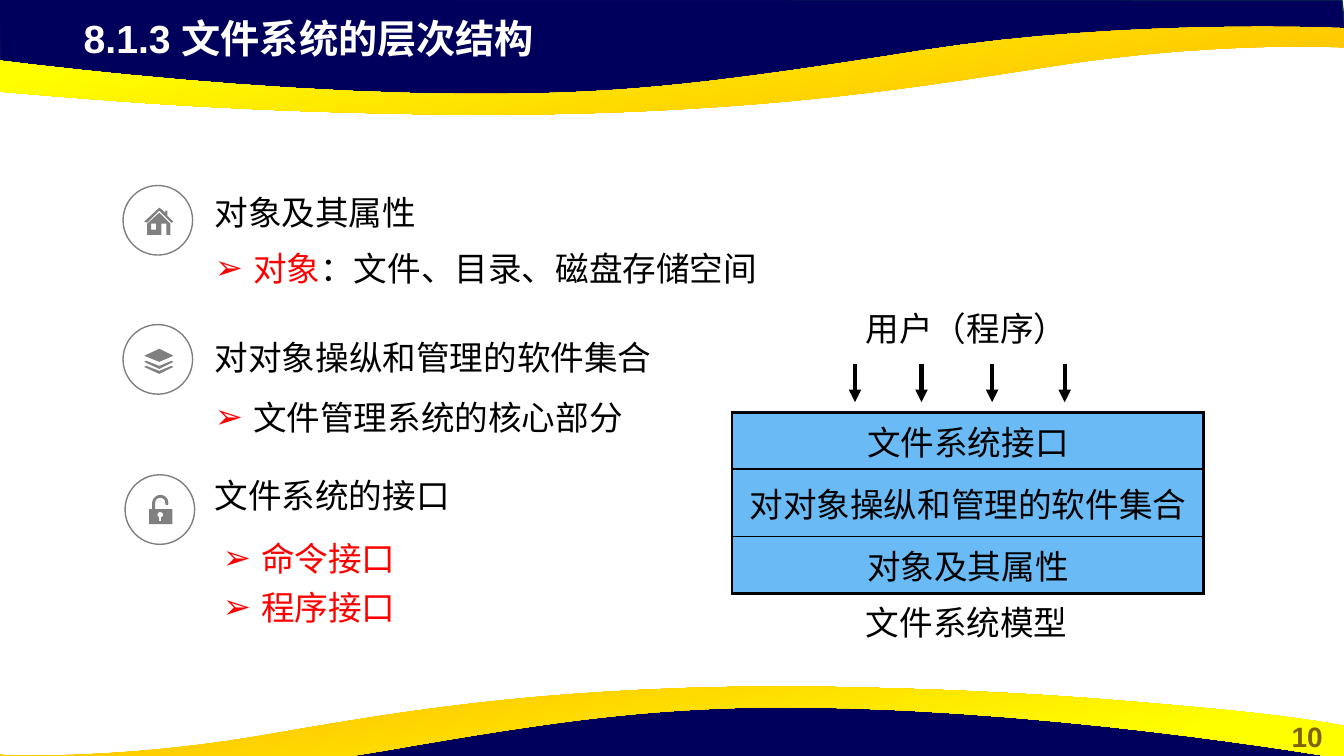
from lxml import etree
from pptx import Presentation
from pptx.dml.color import RGBColor
from pptx.enum.shapes import MSO_CONNECTOR, MSO_SHAPE
from pptx.enum.text import MSO_ANCHOR, MSO_AUTO_SIZE, PP_ALIGN
from pptx.oxml.ns import qn
from pptx.util import Inches, Pt

NAVY = RGBColor(0x00, 0x00, 0x5C)
NAVY_EDGE = RGBColor(0x05, 0x30, 0x4F)
ORANGE = RGBColor(0xFF, 0xC0, 0x00)
YELLOW = RGBColor(0xFF, 0xFF, 0x00)
OLIVE = RGBColor(0x80, 0x60, 0x00)
WHITE = RGBColor(0xFF, 0xFF, 0xFF)
BLACK = RGBColor(0x00, 0x00, 0x00)
RED = RGBColor(0xFF, 0x00, 0x00)
GRAY = RGBColor(0x80, 0x80, 0x80)
SKY = RGBColor(0x6A, 0xBB, 0xF5)
LATIN = "Arial"
CHINESE = "Noto Sans CJK SC"

NAVY_WAVE = [(-0.01, -0.01), (0, 0.7), (2.93, 1.02), (5.59, 1), (7.95, 0.88),
             (10.16, 0.5), (12.38, 0.33), (13.35, 0.38), (13.31, 0)]
TOP_RIBBON = [(4.83, 1.14), (4.43, 1.14, 4.01, 1.13, 3.56, 1.12),
              (2.06, 1.08, 1.1, 1, 0.36, 0.94), (-0.88, 0.84, -1.3, 0.75, -1.33, 0.75),
              (-1.33, 0.42), (-1.33, 0.42, 2.18, 0.98, 5.17, 0.93),
              (6.26, 0.91, 7.08, 0.83, 9.15, 0.5), (11.21, 0.18, 13.33, 0.28, 13.33, 0.28),
              (13.33, 0.47), (13.3, 0.47), (13.05, 0.46, 11.95, 0.43, 10.55, 0.64),
              (9.18, 0.85, 7.62, 1.13, 4.83, 1.14)]
BOTTOM_RIBBON = [(7.72, 6.81), (8.09, 6.81, 8.47, 6.82, 8.88, 6.83),
                 (10.25, 6.87, 11.12, 6.95, 11.79, 7.01), (12.92, 7.11, 13.3, 7.2, 13.33, 7.2),
                 (13.33, 7.53), (13.33, 7.53, 10.14, 6.97, 7.42, 7.02),
                 (6.42, 7.05, 5.67, 7.12, 3.8, 7.45), (1.92, 7.78, -0.01, 7.68, -0.01, 7.68),
                 (-0.01, 7.48), (0.02, 7.49), (0.25, 7.5, 1.25, 7.52, 2.52, 7.31),
                 (3.76, 7.1, 5.19, 6.82, 7.72, 6.81)]

HOUSE = [[(21, 36), (36, 22), (42, 27), (42, 25), (44, 25), (44, 30), (50, 36), (48, 37),
          (36, 25), (24, 37)],
         [(24, 38), (36, 27), (47, 38), (47, 49), (43, 49), (43, 38), (38, 38), (38, 49), (24, 49)],
         [(28, 38), (33, 38), (33, 44), (28, 44)]]
LAYERS = [[(21, 31), (36, 24), (50, 31), (36, 37)],
          [(21, 37), (23, 36), (36, 41), (48, 36), (50, 37), (36, 44)],
          [(21, 42), (23, 41), (36, 46), (48, 41), (50, 42), (36, 49)]]
PADLOCK = [[(24, 34), (47, 34), (47, 49), (24, 49)],
           [(27, 34), (27, 28), (27, 24, 31, 20, 35, 20), (40, 20, 43, 24, 43, 28),
            (43, 31, 40, 31, 40, 28), (40, 25, 38, 23, 35, 23), (32, 23, 30, 25, 30, 28), (30, 34)],
           [(35, 37), (32, 37, 31, 41, 34, 42), (34, 46), (36, 46), (36, 42),
            (39, 41, 38, 37, 35, 37)]]

SECTIONS = [
    ("对象及其属性", (2.03, 1.88, 4.04, 0.44), HOUSE, (1.22, 1.84),
     [[("对象", RED), ("：文件、目录、磁盘存储空间", BLACK)]], (2.03, 2.33, 7.1, 0.57)),
    ("对对象操纵和管理的软件集合", (2.03, 3.33, 5.45, 0.43), LAYERS, (1.22, 3.22),
     [[("文件管理系统的核心部分", BLACK)]], (2.03, 3.81, 4.39, 0.57)),
    ("文件系统的接口", (2.03, 4.69, 4.04, 0.45), PADLOCK, (1.24, 4.71),
     [[("命令接口", RED)], [("程序接口", RED)]], (2.11, 5.21, 2.47, 1.01)),
]


def flatten(contour, steps=16):
    """Turn points and cubic curves into a list of points."""
    points = [contour[0]]
    for segment in contour[1:]:
        if len(segment) == 2:
            points.append(segment)
            continue
        controls = [points[-1], segment[:2], segment[2:4], segment[4:]]
        for step in range(1, steps + 1):
            t = step / steps
            weights = ((1 - t) ** 3, 3 * t * (1 - t) ** 2, 3 * t * t * (1 - t), t ** 3)
            points.append(tuple(sum(weight * control[axis] for weight, control
                                    in zip(weights, controls)) for axis in (0, 1)))
    return points


def add_outline(slide, contours, left=0, top=0, unit=1):
    """Add one borderless freeform made of closed contours."""
    builder = None
    for contour in contours:
        points = [(Inches(left + x * unit), Inches(top + y * unit)) for x, y in flatten(contour)]
        if builder is None:
            builder = slide.shapes.build_freeform(*points[0], scale=1.0)
        else:
            builder.move_to(*points[0])
        builder.add_line_segments(points[1:], close=True)
    shape = builder.convert_to_shape()
    shape.shadow.inherit = False
    shape.line.fill.background()
    return shape


def add_run(paragraph, text, color, size=24, font=LATIN, bold=False):
    """Add one formatted run."""
    run = paragraph.add_run()
    run.text = text
    run.font.size, run.font.bold, run.font.name = Pt(size), bold, font
    run.font.color.rgb = color
    etree.SubElement(run.font._element, qn("a:ea"), typeface=CHINESE)


def place(shape, box, anchor=MSO_ANCHOR.TOP):
    """Move a text shape to a box and return its text frame."""
    shape.left, shape.top, shape.width, shape.height = (Inches(length) for length in box)
    frame = shape.text_frame
    frame.word_wrap, frame.auto_size = True, MSO_AUTO_SIZE.NONE
    frame.vertical_anchor = anchor
    return frame


def add_label(slide, box, text, color=BLACK, align=PP_ALIGN.LEFT, anchor=MSO_ANCHOR.TOP, **style):
    """Add a one-line text box."""
    shape = slide.shapes.add_textbox(0, 0, 0, 0)
    paragraph = place(shape, box, anchor).paragraphs[0]
    paragraph.alignment = align
    add_run(paragraph, text, color, **style)


def add_bands(slide):
    """Draw the navy waves and their ribbons at both slide edges."""
    turned_wave = [(13.32 - x, 7.93 - y) for x, y in NAVY_WAVE]
    for wave, ribbon, angle in ((NAVY_WAVE, TOP_RIBBON, 100), (turned_wave, BOTTOM_RIBBON, 280)):
        band = add_outline(slide, [wave])
        band.fill.solid()
        band.fill.fore_color.rgb = NAVY
        band.line.color.rgb, band.line.width = NAVY_EDGE, Pt(1)
        fill = add_outline(slide, [ribbon]).fill
        fill.gradient()
        fill.gradient_angle = angle
        for stop, position, color in zip(fill.gradient_stops, (0.11, 0.78), (ORANGE, YELLOW)):
            stop.position, stop.color.rgb = position, color


def add_title(slide, box, text):
    """Fill the title placeholder and bring it in front of the bands."""
    title = slide.shapes.title
    paragraph = place(title, box).paragraphs[0]
    paragraph.alignment = PP_ALIGN.LEFT
    add_run(paragraph, text, WHITE, 28, bold=True)
    title.element.getparent().append(title.element)


def add_icon(slide, corner, contours, diameter=0.69):
    """Draw a ringed icon whose contours are in hundredths of an inch."""
    left, top = corner
    ring = slide.shapes.add_shape(MSO_SHAPE.OVAL, Inches(left), Inches(top),
                                  Inches(diameter), Inches(diameter))
    ring.shadow.inherit = False
    ring.fill.background()
    ring.line.color.rgb, ring.line.width = GRAY, Pt(1)
    icon = add_outline(slide, contours, left, top, 0.01)
    icon.fill.solid()
    icon.fill.fore_color.rgb = GRAY


def fill_list(placeholder, box, items):
    """Write arrow-bulleted items into a body placeholder."""
    frame = place(placeholder, box)
    for index, item in enumerate(items):
        paragraph = frame.add_paragraph() if index else frame.paragraphs[0]
        properties = paragraph._p.get_or_add_pPr()
        properties.set("marL", str(Inches(0.38)))
        properties.set("indent", str(-Inches(0.38)))
        bullet_color = etree.SubElement(properties, qn("a:buClr"))
        etree.SubElement(bullet_color, qn("a:srgbClr"), val=str(RED))
        etree.SubElement(properties, qn("a:buFont"), typeface=LATIN)
        etree.SubElement(properties, qn("a:buChar"), char="➢")
        paragraph.alignment = PP_ALIGN.LEFT
        paragraph.line_spacing, paragraph.space_before = 1.2, Pt(0)
        for text, color in item:
            add_run(paragraph, text, color)


def set_borders(cell, top, bottom):
    """Give a cell black borders, 2.25 points wide at the sides."""
    properties = cell._tc.get_or_add_tcPr()
    for index, (tag, width) in enumerate((("lnL", 2.25), ("lnR", 2.25), ("lnT", top), ("lnB", bottom))):
        line = etree.Element(qn(f"a:{tag}"), w=str(Pt(width)))
        solid = etree.SubElement(line, qn("a:solidFill"))
        etree.SubElement(solid, qn("a:srgbClr"), val=str(BLACK))
        properties.insert(index, line)


def add_model(slide, left, top):
    """Draw the layered model with its caller, arrows and caption."""
    add_label(slide, (left + 1.2, top, 2.25, 0.51), "用户（程序）", align=PP_ALIGN.CENTER, font=CHINESE)
    for offset in (1.22, 1.88, 2.58, 3.3):
        x = Inches(left + offset)
        arrow = slide.shapes.add_connector(MSO_CONNECTOR.STRAIGHT, x, Inches(top + 0.6),
                                           x, Inches(top + 0.98))
        arrow.line.color.rgb, arrow.line.width = BLACK, Pt(3)
        etree.SubElement(arrow.line._get_or_add_ln(), qn("a:tailEnd"), type="triangle")
        etree.SubElement(arrow._element.spPr, qn("a:effectLst"))
    layers = (("文件系统接口", 0.48, 2.25, 1), ("对对象操纵和管理的软件集合", 0.67, 1, 1),
              ("对象及其属性", 0.48, 1, 2.25))
    table = slide.shapes.add_table(3, 1, Inches(left), Inches(top + 1.08),
                                   Inches(4.68), Inches(1.63)).table
    table.first_row = table.horz_banding = False
    for row, (text, height, upper, lower) in zip(table.rows, layers):
        row.height = Inches(height)
        cell = row.cells[0]
        cell.fill.solid()
        cell.fill.fore_color.rgb = SKY
        cell.vertical_anchor = MSO_ANCHOR.MIDDLE
        cell.margin_top = cell.margin_bottom = Inches(0.04)
        set_borders(cell, upper, lower)
        paragraph = cell.text_frame.paragraphs[0]
        paragraph.alignment = PP_ALIGN.CENTER
        add_run(paragraph, text, BLACK, font=CHINESE)
    add_label(slide, (left + 1.23, top + 2.91, 2.22, 0.5), "文件系统模型", font=CHINESE)


def main():
    """Build and save the slide."""
    presentation = Presentation()
    presentation.slide_width, presentation.slide_height = Inches(13.33), Inches(7.5)
    slide = presentation.slides.add_slide(presentation.slide_layouts[4])
    bodies = list(slide.placeholders)[1:]
    add_bands(slide)
    add_label(slide, (12.6, 7.09, 0.73, 0.44), "10", OLIVE, PP_ALIGN.CENTER, size=20, bold=True)
    add_title(slide, (0.73, 0.09, 7.68, 0.57), "8.1.3 文件系统的层次结构")
    for body, (heading, heading_box, icon, corner, items, list_box) in zip(bodies, SECTIONS):
        add_label(slide, heading_box, heading, anchor=MSO_ANCHOR.MIDDLE)
        add_icon(slide, corner, icon)
        fill_list(body, list_box, items)
    spare = bodies[-1].element
    spare.getparent().remove(spare)
    add_model(slide, 7.26, 3.01)
    presentation.save("out.pptx")


if __name__ == "__main__":
    main()
